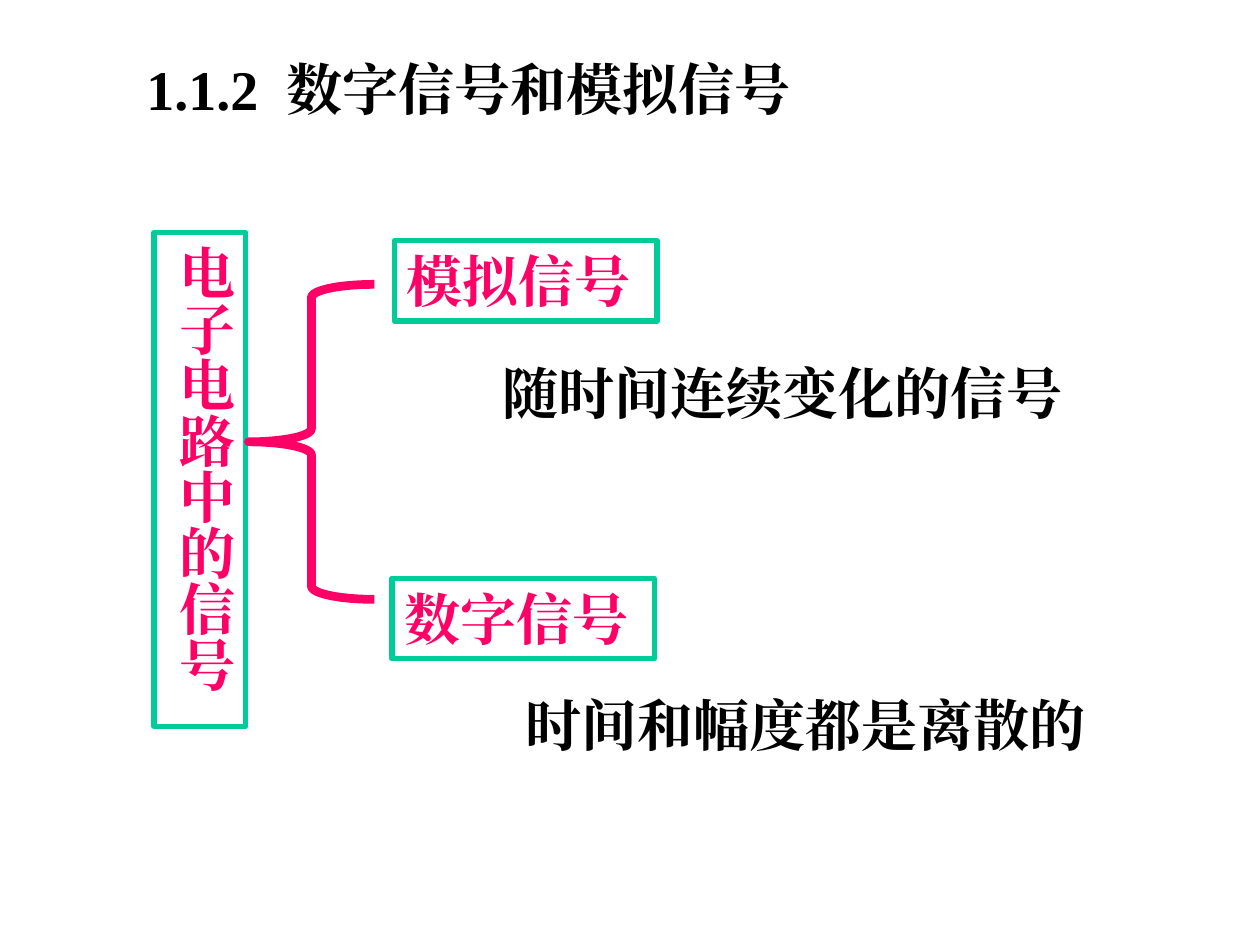
from lxml.etree import SubElement
from pptx import Presentation
from pptx.dml.color import RGBColor
from pptx.enum.shapes import MSO_SHAPE
from pptx.enum.text import MSO_ANCHOR, MSO_AUTO_SIZE, PP_ALIGN
from pptx.oxml.ns import qn
from pptx.util import Pt

BLACK = "000000"
PINK = "FF0066"
GREEN = "00CC99"


def color(value):
    return RGBColor.from_string(value)


class SlideBuilder:
    font_name = "Times New Roman"
    font_size = 32
    wide_inset = 7.2
    narrow_inset = 3.6

    def __init__(self, slide):
        self.slide = slide

    def place(self, shape, left, top, width, height):
        shape.left, shape.top = Pt(left), Pt(top)
        shape.width, shape.height = Pt(width), Pt(height)

    def add_runs(self, shape, pieces, font_color, vertical=False):
        """Fill the shape with runs given as (text, letter spacing in points)."""
        frame = shape.text_frame
        frame.word_wrap = True
        frame.auto_size = MSO_AUTO_SIZE.NONE
        frame.vertical_anchor = MSO_ANCHOR.TOP
        across, along = self.wide_inset, self.narrow_inset
        if vertical:
            across, along = along, across
            frame._txBody.bodyPr.set("vert", "eaVert")
        frame.margin_left = frame.margin_right = Pt(across)
        frame.margin_top = frame.margin_bottom = Pt(along)
        paragraph = frame.paragraphs[0]
        paragraph.alignment = PP_ALIGN.LEFT
        for text, spacing in pieces:
            run = paragraph.add_run()
            run.text = text
            run.font.name = self.font_name
            run.font.size = Pt(self.font_size)
            run.font.bold = True
            run.font.color.rgb = color(font_color)
            properties = run._r.get_or_add_rPr()
            SubElement(properties, qn("a:ea")).set("typeface", self.font_name)
            if spacing:
                properties.set("spc", str(spacing * 100))

    def title(self, pieces, *box):
        shape = self.slide.shapes.title
        self.place(shape, *box)
        self.add_runs(shape, pieces, BLACK)

    def text(self, text, *box):
        shape = self.slide.shapes.add_textbox(*map(Pt, box))
        self.add_runs(shape, [(text, 0)], BLACK)

    def outline(self, kind, line_color, line_width, *box):
        shape = self.slide.shapes.add_shape(kind, *map(Pt, box))
        shape.shadow.inherit = False
        shape.fill.background()
        shape.line.color.rgb = color(line_color)
        shape.line.width = Pt(line_width)
        return shape

    def label(self, text, *box, vertical=False):
        shape = self.outline(MSO_SHAPE.RECTANGLE, GREEN, 3, *box)
        self.add_runs(shape, [(text, 0)], PINK, vertical)

    def brace(self, *box):
        shape = self.outline(MSO_SHAPE.LEFT_BRACE, PINK, 5, *box)
        shape.adjustments[0] = 0.104


def main():
    presentation = Presentation()
    presentation.slide_width, presentation.slide_height = Pt(720), Pt(540)
    slide = presentation.slides.add_slide(presentation.slide_layouts[5])
    builder = SlideBuilder(slide)
    line_height = 46

    builder.title([("1.1.2", 0), (" ", 8), ("数字信号和模拟信号", 0)],
                  76.5, 27.5, 390, line_height)
    builder.label("电子电路中的信号", 88, 133, 52.5, 282, vertical=True)
    builder.brace(142, 162.5, 72, 180)
    builder.label("模拟信号", 225.5, 137.5, 150, line_height)
    builder.label("数字信号", 224, 330.5, 150, line_height)
    builder.text("随时间连续变化的信号", 280, 201.5, 364, line_height)
    builder.text("时间和幅度都是离散的", 293, 391, 342, line_height)
    presentation.save("out.pptx")


if __name__ == "__main__":
    main()
